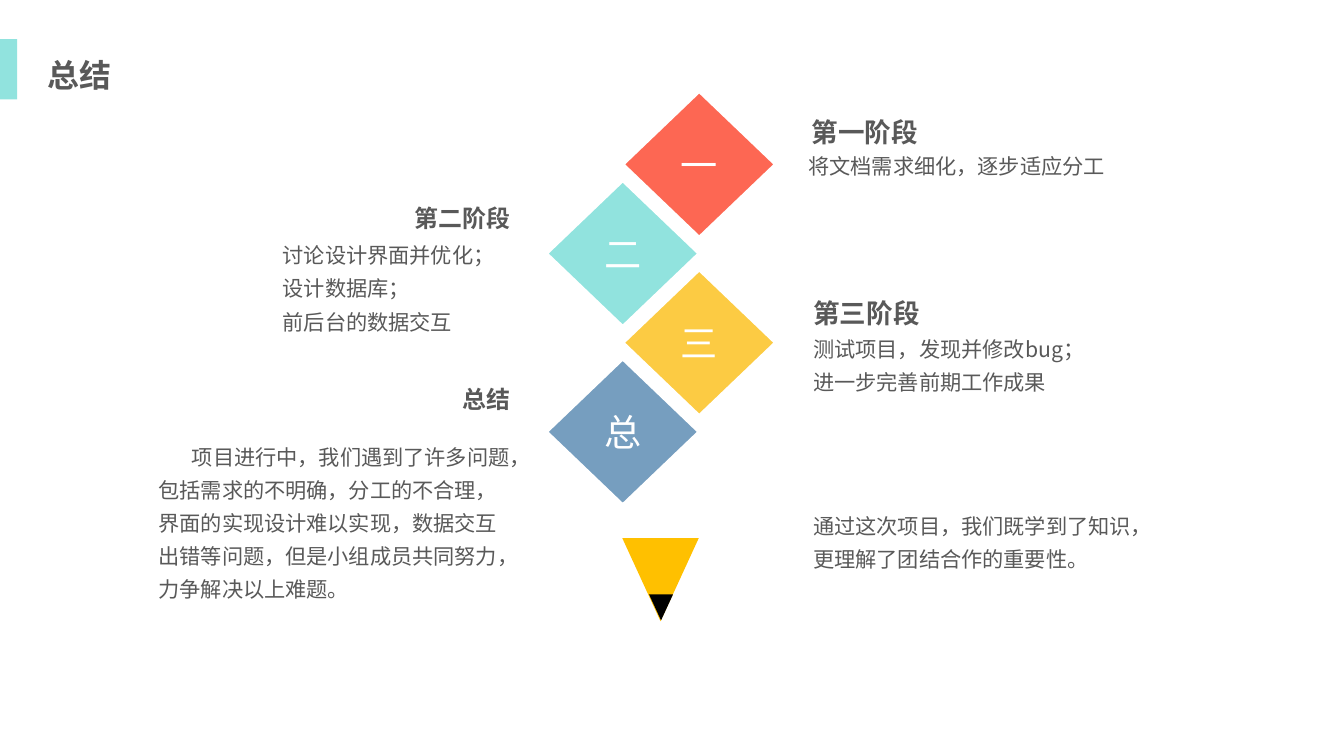
from dataclasses import dataclass

from pptx import Presentation
from pptx.dml.color import RGBColor
from pptx.enum.shapes import MSO_SHAPE
from pptx.enum.text import MSO_ANCHOR, PP_ALIGN
from pptx.util import Inches, Pt


@dataclass(frozen=True)
class Theme:
    red: str = "FD6753"
    teal: str = "91E3DE"
    yellow: str = "FCCB43"
    blue: str = "769EBF"
    pencil: str = "FFC000"
    lead: str = "000000"
    white: str = "FFFFFF"
    text: str = "595959"
    font: str = "Arial"
    cjk_font: str = "Noto Sans CJK SC"
    label_font: str = "Calibri"
    title: int = 24
    heading: int = 20
    side_heading: int = 18
    body: int = 16
    label: int = 28
    spacing: float = 1.3


class SlideBuilder:
    def __init__(self, slide, theme):
        self.s = slide
        self.theme = theme

    def shape(self, kind, box, color):
        sp = self.s.shapes.add_shape(kind, *map(Inches, box))
        sp.shadow.inherit = False
        sp.fill.solid()
        sp.fill.fore_color.rgb = RGBColor.from_string(color)
        sp.line.fill.background()
        return sp

    def style(self, p, size, font, color, bold=False):
        p.font.size = Pt(size)
        p.font.name = font
        p.font.bold = bold
        p.font.color.rgb = RGBColor.from_string(color)

    def diamond(self, box, color, label):
        sp = self.shape(MSO_SHAPE.DIAMOND, box, color)
        sp.line.color.rgb = RGBColor.from_string(self.theme.white)
        sp.line.width = Pt(3)
        tf = sp.text_frame
        tf.margin_left = tf.margin_right = tf.margin_top = tf.margin_bottom = 0
        tf.vertical_anchor = MSO_ANCHOR.MIDDLE
        p = tf.paragraphs[0]
        p.text = label
        p.alignment = PP_ALIGN.CENTER
        self.style(p, self.theme.label, self.theme.label_font, self.theme.white)

    def triangle(self, box, color):
        self.shape(MSO_SHAPE.ISOSCELES_TRIANGLE, box, color).rotation = 180

    def text(self, box, lines, size, font=None, bold=False, wrap=True,
             align=PP_ALIGN.LEFT, indent=0):
        tf = self.s.shapes.add_textbox(*map(Inches, box)).text_frame
        tf.word_wrap = wrap
        for i, line in enumerate(lines):
            p = tf.add_paragraph() if i else tf.paragraphs[0]
            p.text = line
            p.alignment = align
            p.line_spacing = self.theme.spacing
            if indent:
                p._p.get_or_add_pPr().set("indent", str(Inches(indent)))
            self.style(p, size, font or self.theme.font, self.theme.text, bold)

    def heading(self, box, text, size, align=PP_ALIGN.LEFT):
        self.text(box, [text], size, bold=True, wrap=False, align=align)


def main():
    prs = Presentation()
    prs.slide_width, prs.slide_height = Inches(14.06), Inches(7.91)
    theme = Theme()
    b = SlideBuilder(prs.slides.add_slide(prs.slide_layouts[6]), theme)

    b.shape(MSO_SHAPE.RECTANGLE, (0, 0.41, 0.18, 0.63), theme.teal)
    b.heading((0.4, 0.41, 0.88, 0.57), "总结", theme.title)

    b.triangle((6.51, 5.63, 0.8, 0.87), theme.pencil)
    b.triangle((6.79, 6.22, 0.25, 0.27), theme.lead)

    stages = [("一", theme.red), ("二", theme.teal),
              ("三", theme.yellow), ("总", theme.blue)]
    for i, (label, color) in enumerate(stages):
        left = 5.71 if i % 2 else 6.51
        b.diamond((left, 0.95 + 0.933 * i, 1.61, 1.54), color, label)

    b.heading((8.39, 1.06, 1.32, 0.54), "第一阶段", theme.heading)
    b.text((8.36, 1.47, 3.87, 0.45), ["将文档需求细化，逐步适应分工"], theme.body)

    b.heading((4.23, 1.99, 1.21, 0.46), "第二阶段", theme.side_heading, PP_ALIGN.RIGHT)
    b.text((2.86, 2.41, 2.59, 1.5),
           ["讨论设计界面并优化；", "设计数据库；", "前后台的数据交互"],
           theme.body, theme.cjk_font)

    b.heading((8.41, 2.96, 1.32, 0.54), "第三阶段", theme.heading)
    b.text((8.41, 3.39, 3.87, 0.8),
           ["测试项目，发现并修改bug；", "进一步完善前期工作成果"],
           theme.body, theme.cjk_font)

    b.heading((4.73, 3.88, 0.71, 0.69), "总结", theme.side_heading, PP_ALIGN.RIGHT)
    b.text((1.56, 4.52, 3.88, 2.2),
           ["项目进行中，我们遇到了许多问题，包括需求的不明确，分工的不合理，"
            "界面的实现设计难以实现，数据交互出错等问题，但是小组成员共同努力，"
            "力争解决以上难题。"],
           theme.body, indent=0.35)
    b.text((8.41, 5.24, 3.88, 0.77),
           ["通过这次项目，我们既学到了知识，更理解了团结合作的重要性。"], theme.body)

    prs.save("out.pptx")


if __name__ == "__main__":
    main()
